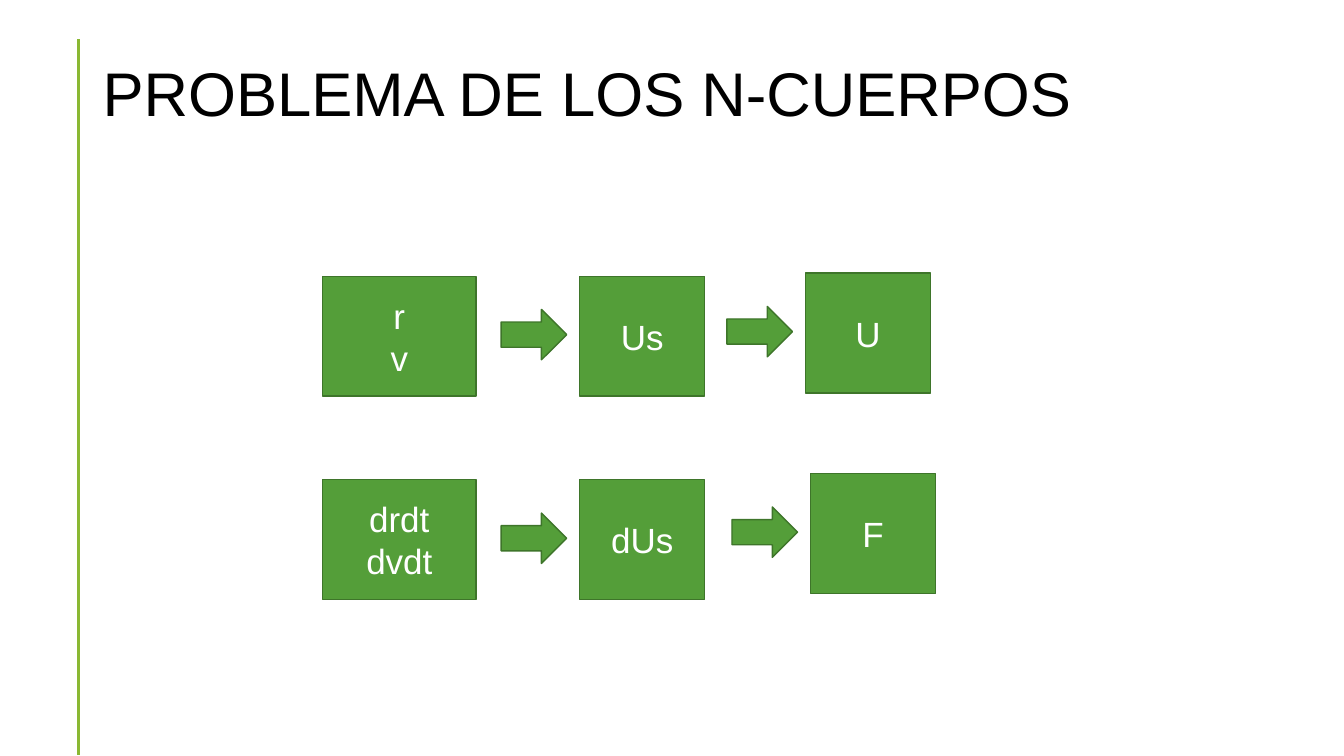
from lxml.etree import SubElement
from pptx import Presentation
from pptx.dml.color import RGBColor
from pptx.enum.shapes import MSO_CONNECTOR as Connector, MSO_SHAPE as Shape
from pptx.enum.text import MSO_ANCHOR as Anchor, PP_ALIGN as Align
from pptx.oxml.ns import qn
from pptx.util import Inches, Pt


def color(hex_string):
    return RGBColor.from_string(hex_string)


def write(frame, text, size, ink, font="Arial", align=Align.LEFT, spacing=1.0):
    frame.word_wrap = True
    frame.vertical_anchor = Anchor.MIDDLE
    for index, line in enumerate(text.split("\n")):
        para = frame.add_paragraph() if index else frame.paragraphs[0]
        para.alignment = align
        para.line_spacing = spacing
        span = para.add_run()
        span.text = line
        span.font.name = font
        span.font.size = Pt(size)
        span.font.color.rgb = color(ink)


class DiagramPage:
    fill, outline, accent = "549E39", "3E752A", "8AB833"
    title_ink, box_ink = "000000", "FFFFFF"

    def __init__(self, page):
        self.page = page

    def rule(self, x, top, bottom):
        line = self.page.shapes.add_connector(
            Connector.STRAIGHT, Inches(x), Inches(top), Inches(x), Inches(bottom))
        line.line.color.rgb = color(self.accent)
        line.line.width = Pt(2)
        SubElement(line.element.spPr, qn("a:effectLst"))

    def title(self, text, *area):
        box = self.page.shapes.add_textbox(*map(Inches, area))
        write(box.text_frame, text, 44, self.title_ink, spacing=0.9)

    def shape(self, kind, *area):
        shape = self.page.shapes.add_shape(kind, *map(Inches, area))
        shape.shadow.inherit = False
        shape.fill.solid()
        shape.fill.fore_color.rgb = color(self.fill)
        shape.line.color.rgb = color(self.outline)
        shape.line.width = Pt(1)
        return shape

    def step(self, text, left, top, width):
        box = self.shape(Shape.RECTANGLE, left, top, width, 1.19)
        write(box.text_frame, text, 25, self.box_ink, align=Align.CENTER)

    def arrow_into(self, left, top):
        self.shape(Shape.RIGHT_ARROW, left - 0.78, top + 0.33, 0.65, 0.5)


def main():
    deck = Presentation()
    deck.slide_width, deck.slide_height = Inches(13.33), Inches(7.5)
    diagram = DiagramPage(deck.slides.add_slide(deck.slide_layouts[6]))

    # Heading
    diagram.rule(0.78, 0.39, 7.49)
    diagram.title("PROBLEMA DE LOS N-CUERPOS", 0.92, 0.23, 11.5, 1.45)

    # Each flow: boxes as (text, left, top, width), joined by arrows
    flows = [
        [("r\nv", 3.2, 2.74, 1.52), ("Us", 5.75, 2.74, 1.24), ("U", 7.99, 2.71, 1.24)],
        [("drdt\ndvdt", 3.2, 4.76, 1.52), ("dUs", 5.75, 4.76, 1.24), ("F", 8.04, 4.7, 1.24)],
    ]
    for flow in flows:
        for index, (text, left, top, width) in enumerate(flow):
            diagram.step(text, left, top, width)
            if index:
                diagram.arrow_into(left, top)

    deck.save("out.pptx")


if __name__ == "__main__":
    main()
